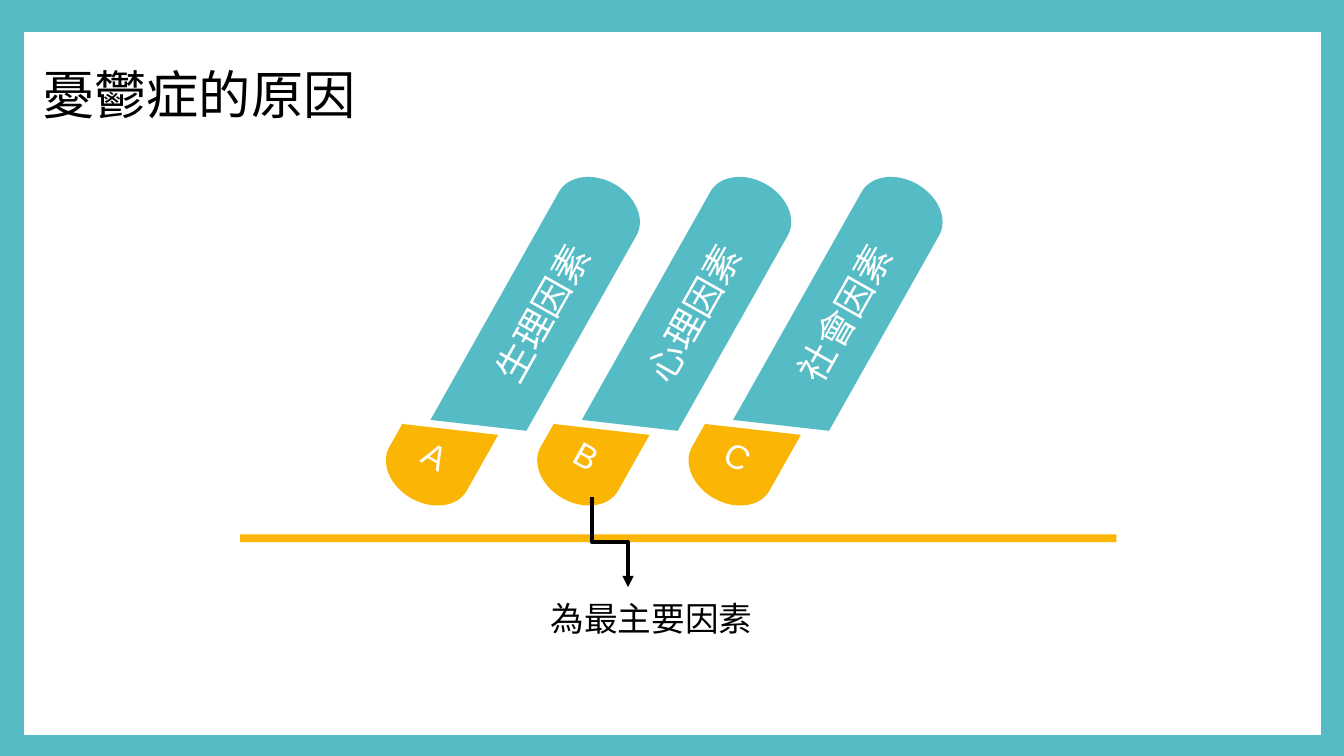
from dataclasses import dataclass

from lxml import etree
from pptx import Presentation, util as u
from pptx.dml.color import RGBColor
from pptx.enum import shapes, text
from pptx.oxml import ns

TEAL = RGBColor(0x55, 0xBB, 0xC5)
AMBER = RGBColor(0xFB, 0xB5, 0x05)
WHITE = RGBColor(0xFF, 0xFF, 0xFF)
BLACK = RGBColor(0x00, 0x00, 0x00)

TILT = 29.4
BAR_WIDTH = 1.68
CAP_HEIGHT = 0.64
SLANT = 0.71
BAR_PITCH = 2.86
ARC_RATIO = 0.55


@dataclass(frozen=True)
class Factor:
    letter: str
    name: str


@dataclass(frozen=True)
class Box:
    """Left, top, width and height in centimetres."""
    left: float
    top: float
    width: float
    height: float

    def lengths(self) -> list:
        return [u.Cm(value) for value in (self.left, self.top, self.width, self.height)]


FACTORS = [Factor("A", "生理因素"), Factor("B", "心理因素"), Factor("C", "社會因素")]


def write_text(shape, content: str, size: int, color: RGBColor, **frame_format) -> None:
    frame = shape.text_frame
    for name, value in frame_format.items():
        setattr(frame, name, value)
    run = frame.paragraphs[0].add_run()
    run.text = content
    for name, value in {"name": "Arial", "size": u.Pt(size)}.items():
        setattr(run.font, name, value)
    run.font.color.rgb = color


def paint(shape, color: RGBColor) -> None:
    shape.shadow.inherit = False
    shape.fill.solid()
    shape.fill.fore_color.rgb = color
    shape.line.fill.background()


def add_rectangle(slide, box: Box, color: RGBColor):
    shape = slide.shapes.add_shape(shapes.MSO_SHAPE.RECTANGLE, *box.lengths())
    paint(shape, color)
    return shape


def add_label(slide, box: Box, content: str, size: int) -> None:
    shape = slide.shapes.add_textbox(*box.lengths())
    write_text(shape, content, size, BLACK, word_wrap=True)


def round_cap(shape) -> None:
    """Turn the first two straight segments into quarter ellipses."""
    path = shape._element.find(".//" + ns.qn("a:path"))
    corners = [(int(point.get("x")), int(point.get("y")))
               for point in path.iter(ns.qn("a:pt"))]
    start, apex, end = corners[:3]
    rise = round((apex[1] - start[1]) * ARC_RATIO)
    reach = round((end[0] - apex[0]) * ARC_RATIO)
    curves = [
        [(start[0], start[1] + rise), (apex[0] - reach, apex[1]), apex],
        [(apex[0] + reach, apex[1]), (end[0], end[1] + rise), end],
    ]
    for segment, curve in zip(path.findall(ns.qn("a:lnTo"))[:2], curves):
        bezier = etree.Element(ns.qn("a:cubicBezTo"))
        for x, y in curve:
            etree.SubElement(bezier, ns.qn("a:pt"), x=str(x), y=str(y))
        path.replace(segment, bezier)


def add_capsule(slide, box: Box, color: RGBColor, cap_on_top: bool):
    """Draw a tilted bar with one round end and one slanted end."""
    right, bottom = box.left + box.width, box.top + box.height
    center = box.left + box.width / 2
    if cap_on_top:
        apex, base = box.top, box.top + CAP_HEIGHT
        slant_right, slant_left = bottom - SLANT, bottom
    else:
        apex, base = bottom, bottom - CAP_HEIGHT
        slant_right, slant_left = box.top, box.top + SLANT
    corners = [(box.left, base), (center, apex), (right, base),
               (right, slant_right), (box.left, slant_left)]
    points = [(u.Cm(x), u.Cm(y)) for x, y in corners]
    builder = slide.shapes.build_freeform(*points[0])
    builder.add_line_segments(points[1:], close=True)
    shape = builder.convert_to_shape()
    round_cap(shape)
    paint(shape, color)
    shape.rotation = TILT
    return shape


def add_factor(slide, factor: Factor, offset: float) -> None:
    bar = add_capsule(slide, Box(9.4 + offset, 3.12, BAR_WIDTH, 5.59), TEAL, True)
    foot = add_capsule(slide, Box(7.39 + offset, 7.69, BAR_WIDTH, 1.85), AMBER, False)
    centered = {"vertical_anchor": text.MSO_ANCHOR.MIDDLE, "margin_left": 0,
                "margin_right": 0, "margin_top": 0, "margin_bottom": 0}
    for shape, content, size in ((bar, factor.name, 20), (foot, factor.letter, 18)):
        write_text(shape, content, size, WHITE, **centered)
        shape.text_frame.paragraphs[0].alignment = text.PP_ALIGN.CENTER
    bar.text_frame._txBody.bodyPr.set("vert", "vert270")


def add_down_arrow(slide, start: tuple, end: tuple) -> None:
    """Draw an elbow arrow that leaves and arrives vertically."""
    center_x, center_y = (start[0] + end[0]) / 2, (start[1] + end[1]) / 2
    half_run, half_drop = (end[0] - start[0]) / 2, (end[1] - start[1]) / 2
    connector = slide.shapes.add_connector(
        shapes.MSO_CONNECTOR.ELBOW,
        u.Cm(center_x + half_drop), u.Cm(center_y - half_run),
        u.Cm(center_x - half_drop), u.Cm(center_y + half_run))
    connector.line.color.rgb = BLACK
    connector.line.width = u.Pt(2)
    properties = connector._element.spPr
    properties.find(ns.qn("a:xfrm")).set("rot", "16200000")
    line = properties.find(ns.qn("a:ln"))
    etree.SubElement(line, ns.qn("a:tailEnd"), type="triangle")
    etree.SubElement(properties, ns.qn("a:effectLst"))


def main() -> None:
    presentation = Presentation()
    presentation.slide_width = u.Cm(25.4)
    presentation.slide_height = u.Cm(14.29)
    slide = presentation.slides.add_slide(presentation.slide_layouts[6])

    add_rectangle(slide, Box(0, 0, 25.4, 14.29), TEAL)
    panel = add_rectangle(slide, Box(0.43, 0.59, 24.55, 13.32), WHITE)
    panel.line.color.rgb = TEAL
    panel.line.width = u.Pt(1)
    for index, factor in enumerate(FACTORS):
        add_factor(slide, factor, index * BAR_PITCH)
    add_rectangle(slide, Box(4.54, 10.1, 16.56, 0.15), AMBER)
    add_label(slide, Box(0.55, 1.05, 7.2, 1.45), "憂鬱症的原因", 28)
    add_down_arrow(slide, (11.19, 9.4), (11.87, 11.1))
    add_label(slide, Box(10.16, 11.18, 4.65, 1.02), "為最主要因素", 18)
    presentation.save("out.pptx")


if __name__ == "__main__":
    main()
